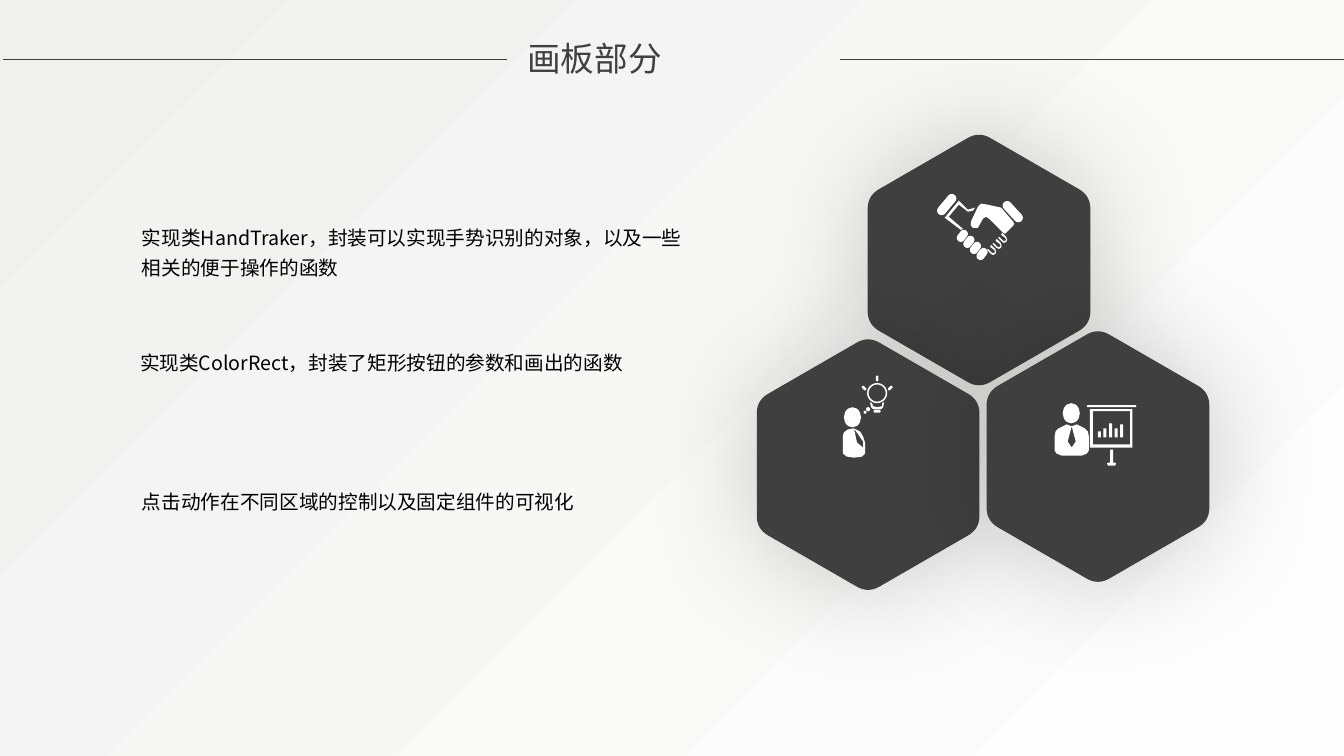
import math

import lxml.etree
import pptx
import pptx.dml.color
import pptx.enum.shapes
import pptx.enum.text
import pptx.oxml.ns
import pptx.util

Inches = pptx.util.Inches
qn = pptx.oxml.ns.qn
ALIGN = pptx.enum.text.PP_ALIGN
PRESET = pptx.enum.shapes.MSO_SHAPE

COLOURS = {"dark": "3F3F3F", "title": "404040", "text": "000000", "icon": "FFFFFF",
           "shade": "F0F0EF", "light": "FDFDFD"}


def capsule(x1, y1, x2, y2, radius, steps=12):
    """Points of a round-ended bar; equal ends give a circle."""
    heading = math.atan2(y2 - y1, x2 - x1)
    points = []
    for x, y, start in ((x2, y2, heading - math.pi / 2), (x1, y1, heading + math.pi / 2)):
        for step in range(steps + 1):
            angle = start + math.pi * step / steps
            points.append((x + radius * math.cos(angle), y + radius * math.sin(angle)))
    return points


def rounded_hexagon(center_x, center_y, radius=1.275, cut=0.13, steps=10):
    """Points of an upright hexagon whose corners are quadratic curves."""
    corners = [(center_x + radius * math.sin(math.pi * side / 3),
                center_y - radius * math.cos(math.pi * side / 3)) for side in range(6)]
    points = []
    for index, corner in enumerate(corners):
        before, after = corners[index - 1], corners[(index + 1) % 6]
        for step in range(steps + 1):
            t = step / steps
            toward_before = (1 - t) ** 2 * cut / radius
            toward_after = t ** 2 * cut / radius
            points.append(tuple(c + toward_before * (b - c) + toward_after * (a - c)
                                for c, b, a in zip(corner, before, after)))
    return points


def box_points(left, top, right, bottom):
    return [(left, top), (right, top), (right, bottom), (left, bottom)]


def shifted(points, dx, dy):
    return [(x + dx, y + dy) for x, y in points]


def mirrored(points, axis):
    return [(2 * axis - x, y) for x, y in reversed(points)]


class SlideBuilder:
    font_name = "Noto Sans CJK SC"

    def __init__(self, slide):
        self.slide = slide
        self.shapes = slide.shapes

    def colour(self, name):
        return pptx.dml.color.RGBColor.from_string(COLOURS[name])

    def background(self):
        fill = self.slide.background.fill
        fill.gradient()
        fill.gradient_angle = 315
        for stop, name, position in zip(fill.gradient_stops, ("shade", "light"), (0, 0.96)):
            stop.color.rgb = self.colour(name)
            stop.position = position

    def start_icon(self):
        """Put the following shapes in a new group."""
        self.shapes = self.slide.shapes.add_group_shape().shapes

    def paint(self, shape, colour):
        shape.fill.solid()
        shape.fill.fore_color.rgb = self.colour(colour)
        shape.line.fill.background()
        shape.shadow.inherit = False
        return shape

    def outline(self, *contours, colour="icon"):
        """Draw closed contours as one shape; an inner contour is a hole."""
        contours = [[(Inches(x), Inches(y)) for x, y in contour] for contour in contours]
        builder = self.shapes.build_freeform(*contours[0][0])
        builder.add_line_segments(contours[0][1:])
        for contour in contours[1:]:
            builder.move_to(*contour[0])
            builder.add_line_segments(contour[1:])
        return self.paint(builder.convert_to_shape(), colour)

    def preset(self, kind, left, top, width, height):
        shape = self.shapes.add_shape(kind, Inches(left), Inches(top), Inches(width), Inches(height))
        return self.paint(shape, "icon")

    def hexagon(self, center_x, center_y):
        shape = self.outline(rounded_hexagon(center_x, center_y), colour="dark")
        effects = shape._element.spPr.find(qn("a:effectLst"))
        shadow = lxml.etree.SubElement(effects, qn("a:outerShdw"), blurRad=str(pptx.util.Pt(80)),
                                       dist="0", dir="0", algn="ctr", rotWithShape="0")
        black = lxml.etree.SubElement(shadow, qn("a:srgbClr"), val="000000")
        lxml.etree.SubElement(black, qn("a:alpha"), val="20000")

    def set_text(self, box, text, size, colour, align, spacing):
        frame = box.text_frame
        frame.word_wrap = True
        frame.vertical_anchor = pptx.enum.text.MSO_ANCHOR.TOP
        para = frame.paragraphs[0]
        para.text = text
        para.alignment = align
        para.line_spacing = spacing
        para.font.size = pptx.util.Pt(size)
        para.font.name = self.font_name
        para.font.color.rgb = self.colour(colour)
        defaults = para._p.pPr.find(qn("a:defRPr"))
        lxml.etree.SubElement(defaults, qn("a:ea"), typeface=self.font_name)

    def title(self, text, left, top, width, height):
        box = self.slide.shapes.title
        box.left, box.top, box.width, box.height = map(Inches, (left, top, width, height))
        self.set_text(box, text, 24, "title", ALIGN.JUSTIFY, 1.0)

    def note(self, text, left, top, height):
        box = self.slide.shapes.add_textbox(Inches(left), Inches(top), Inches(5.72), Inches(height))
        self.set_text(box, text, 14, "text", ALIGN.LEFT, 1.3)

    def rule(self, left, right, y):
        line = self.slide.shapes.add_connector(pptx.enum.shapes.MSO_CONNECTOR.STRAIGHT,
                                               Inches(left), Inches(y), Inches(right), Inches(y))
        line.line.color.rgb = self.colour("dark")
        line.line.width = pptx.util.Pt(0.5)
        lxml.etree.SubElement(line._element.spPr, qn("a:effectLst"))

    def handshake(self):
        self.start_icon()
        self.outline(capsule(9.99, 2.04, 10.1, 2.16, 0.045))
        self.outline([(9.93, 2.06), (9.79, 2.03), (9.73, 2.02), (9.7, 2.05), (9.63, 2.2),
                      (9.63, 2.24), (9.65, 2.26), (9.7, 2.26), (9.75, 2.17), (9.78, 2.15),
                      (9.81, 2.17), (9.95, 2.31), (9.97, 2.32), (10.05, 2.24), (10.06, 2.22),
                      (10.05, 2.2)])
        fingertip = [(9.94, 2.31), (9.93, 2.33), (9.97, 2.36), (9.98, 2.38), (9.97, 2.39),
                     (9.95, 2.39), (9.91, 2.35), (9.9, 2.36), (9.94, 2.4), (9.96, 2.41),
                     (9.98, 2.4), (9.99, 2.38), (9.98, 2.35)]
        for index in range(3):
            self.outline(shifted(fingertip, -0.055 * index, 0.06 * index))
        for index in range(4):
            self.outline(shifted(capsule(9.56, 2.32, 9.53, 2.36, 0.04), 0.065 * index, 0.06 * index))
        self.outline([(9.53, 2.28), (9.55, 2.27), (9.41, 2.15), (9.51, 2.03), (9.6, 2.1),
                      (9.65, 2.09), (9.67, 2.06), (9.6, 2.08), (9.51, 1.99), (9.37, 2.16)])
        self.outline(capsule(9.44, 1.97, 9.34, 2.09, 0.045))

    def presenter(self):
        self.start_icon()
        self.outline(capsule(10.79, 4.03, 11.26, 4.03, 0.01))
        for index, height in enumerate((0.06, 0.09, 0.14, 0.09, 0.13)):
            self.preset(PRESET.RECTANGLE, 10.89 + 0.055 * index, 4.34 - height, 0.03, height)
        self.outline([(11.01, 4.46), (11.04, 4.46), (11.04, 4.59), (11.06, 4.59), (11.07, 4.6),
                      (11.06, 4.62), (10.99, 4.62), (10.98, 4.6), (10.99, 4.59), (11.01, 4.59)])
        self.outline(box_points(10.81, 4.06, 11.23, 4.44), box_points(10.84, 4.08, 11.21, 4.41))
        left_half = [(10.63, 4.44), (10.59, 4.38), (10.63, 4.23), (10.58, 4.21), (10.5, 4.25),
                     (10.47, 4.28), (10.46, 4.33), (10.46, 4.47), (10.48, 4.5), (10.53, 4.52),
                     (10.63, 4.52)]
        self.outline(left_half + mirrored(left_half, 10.63))
        self.preset(PRESET.OVAL, 10.54, 4, 0.17, 0.2)

    def thinker(self):
        self.start_icon()
        side_ray = capsule(8.84, 3.84, 8.82, 3.86, 0.013)
        for ray in (side_ray, mirrored(side_ray, 8.7), capsule(8.7, 3.74, 8.7, 3.77, 0.013)):
            self.outline(ray)
        self.outline(capsule(8.68, 4.08, 8.72, 4.08, 0.015))
        self.outline([(8.75, 4), (8.75, 4.03), (8.7, 4.04), (8.66, 4.03), (8.65, 4), (8.63, 3.99),
                      (8.64, 4.04), (8.66, 4.06), (8.74, 4.06), (8.76, 4.04), (8.77, 3.99)])
        self.outline(capsule(8.7, 3.9, 8.7, 3.9, 0.1), capsule(8.7, 3.9, 8.7, 3.9, 0.085))
        for x, y, radius in ((8.61, 4.06, 0.02), (8.58, 4.09, 0.015)):
            self.outline(capsule(x, y, x, y, radius))
        self.outline([(8.47, 4.25), (8.56, 4.38), (8.56, 4.44), (8.5, 4.39), (8.47, 4.25),
                      (8.41, 4.26), (8.37, 4.29), (8.36, 4.32), (8.36, 4.5), (8.4, 4.53),
                      (8.47, 4.54), (8.55, 4.53), (8.58, 4.5), (8.58, 4.39), (8.56, 4.33),
                      (8.53, 4.28)])
        self.preset(PRESET.OVAL, 8.37, 4.04, 0.17, 0.2)


def main():
    deck = pptx.Presentation()
    deck.slide_width, deck.slide_height = Inches(13.33), Inches(7.5)
    page = SlideBuilder(deck.slides.add_slide(deck.slide_layouts[5]))
    page.background()
    page.title("画板部分", 5.13, 0.33, 3.07, 0.5)
    for center in ((9.71, 2.58), (8.61, 4.61), (10.89, 4.53)):
        page.hexagon(*center)
    page.handshake()
    page.presenter()
    page.thinker()
    page.note("实现类HandTraker，封装可以实现手势识别的对象，以及一些相关的便于操作的函数", 1.31, 2.12, 0.68)
    page.note("实现类ColorRect，封装了矩形按钮的参数和画出的函数", 1.29, 3.36, 0.38)
    page.note("点击动作在不同区域的控制以及固定组件的可视化", 1.31, 4.74, 0.38)
    for left in (0.03, 8.33):
        page.rule(left, left + 5, 0.59)
    deck.save("out.pptx")


if __name__ == "__main__":
    main()
